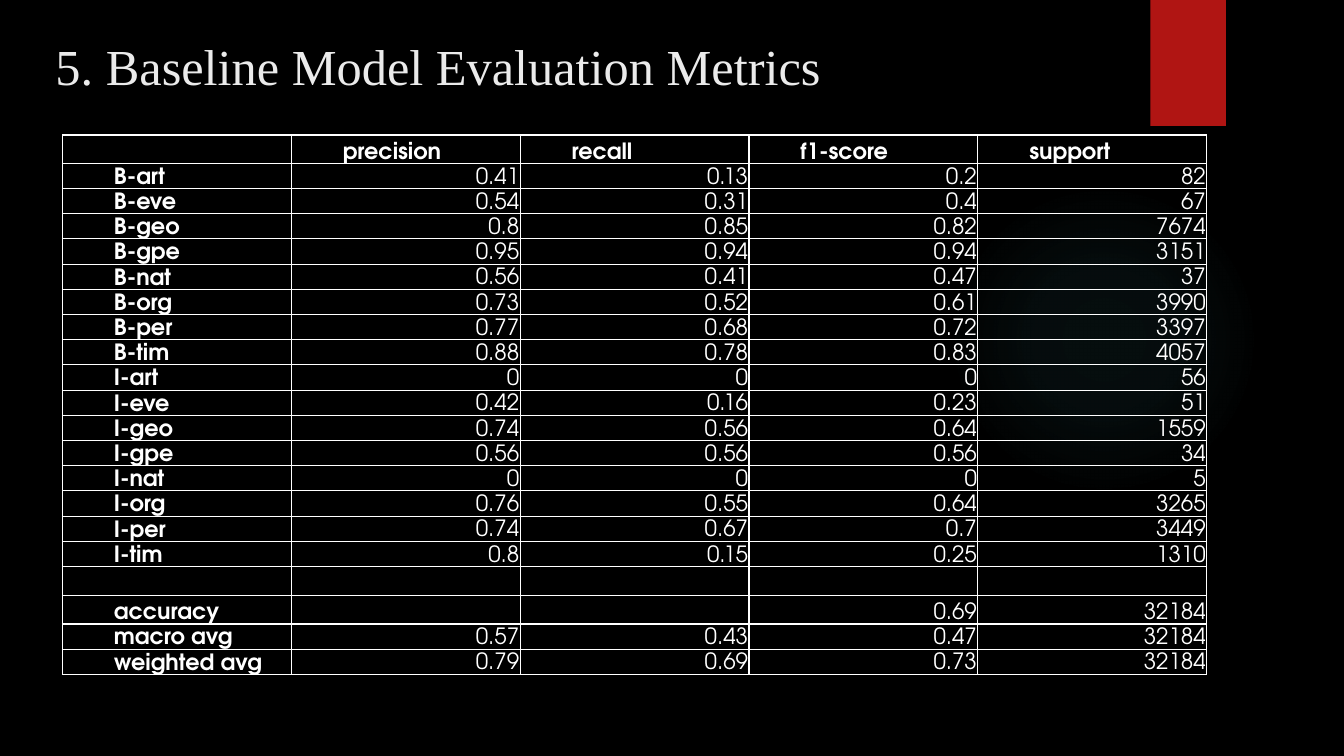
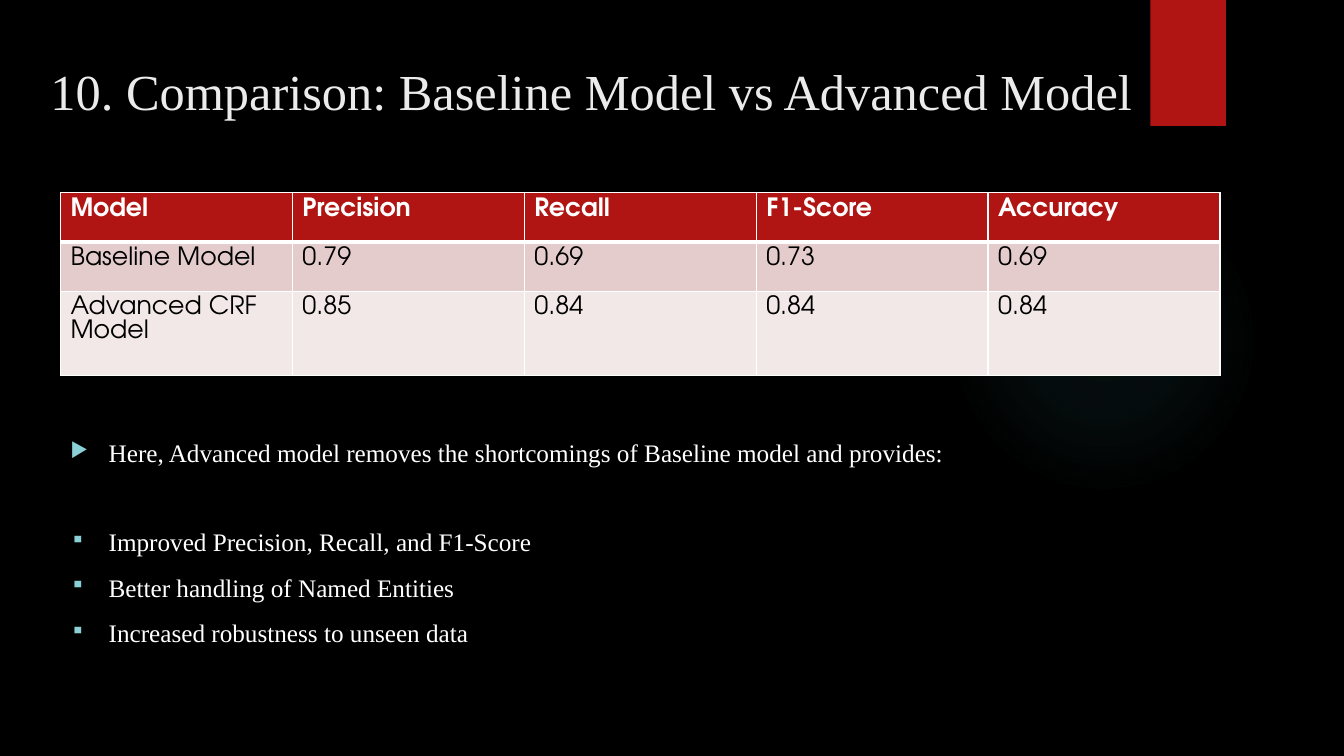
import lxml.etree
import pptx
import pptx.dml.color
import pptx.enum.shapes
import pptx.enum.text
import pptx.oxml.ns
import pptx.util

PX = 9144  # EMU in one px, 100 px to the inch
HUES = {
    "black": "000000", "white": "FFFFFF", "title": "EBEBEB", "red": "B01513",
    "glow": "50B9C1", "mark": "8AD0D6", "rose": "E4CCCC", "pale": "F2E8E7",
}
SANS, SERIF = "TeX Gyre Adventor", "Times New Roman"
ALIGN = pptx.enum.text.PP_ALIGN
ANCHOR = pptx.enum.text.MSO_ANCHOR
SHAPE = pptx.enum.shapes.MSO_SHAPE

SCORES = [
    ("", "precision", "recall", "f1-score", "support"),
    ("B-art", "0.41", "0.13", "0.2", "82"),
    ("B-eve", "0.54", "0.31", "0.4", "67"),
    ("B-geo", "0.8", "0.85", "0.82", "7674"),
    ("B-gpe", "0.95", "0.94", "0.94", "3151"),
    ("B-nat", "0.56", "0.41", "0.47", "37"),
    ("B-org", "0.73", "0.52", "0.61", "3990"),
    ("B-per", "0.77", "0.68", "0.72", "3397"),
    ("B-tim", "0.88", "0.78", "0.83", "4057"),
    ("I-art", "0", "0", "0", "56"),
    ("I-eve", "0.42", "0.16", "0.23", "51"),
    ("I-geo", "0.74", "0.56", "0.64", "1559"),
    ("I-gpe", "0.56", "0.56", "0.56", "34"),
    ("I-nat", "0", "0", "0", "5"),
    ("I-org", "0.76", "0.55", "0.64", "3265"),
    ("I-per", "0.74", "0.67", "0.7", "3449"),
    ("I-tim", "0.8", "0.15", "0.25", "1310"),
    ("", "", "", "", ""),
    ("accuracy", "", "", "0.69", "32184"),
    ("macro avg", "0.57", "0.43", "0.47", "32184"),
    ("weighted avg", "0.79", "0.69", "0.73", "32184"),
]
MODELS = [
    ("Model", "Precision", "Recall", "F1-Score", "Accuracy"),
    ("Baseline Model", "0.79", "0.69", "0.73", "0.69"),
    ("Advanced CRF Model", "0.85", "0.84", "0.84", "0.84"),
]
# mark, space before in points, text
GAINS = [
    ("▶", 0, "Here, Advanced model removes the shortcomings of Baseline model and provides:"),
    ("▪", 42, "Improved Precision, Recall, and F1-Score"),
    ("▪", 11, "Better handling of Named Entities"),
    ("▪", 11, "Increased robustness to unseen data"),
]


def rgb(hue):
    return pptx.dml.color.RGBColor.from_string(HUES[hue])


def apply(item, style):
    for name, value in style.items():
        setattr(item, name, value)


def node(parent, tag, **attrs):
    """Append a DrawingML child and return it."""
    child = lxml.etree.SubElement(parent, pptx.oxml.ns.qn("a:" + tag))
    for name, value in attrs.items():
        child.set(name, str(value))
    return child


class Deck:
    def __init__(self):
        self.prs = pptx.Presentation()
        apply(self.prs, {"slide_width": 1333 * PX, "slide_height": 750 * PX})
        fill = self.prs.slide_master.background.fill
        fill.solid()
        fill.fore_color.rgb = rgb("black")
        self.slide = None

    def begin(self, title, *box):
        """Start a slide with its glow, red tab and title."""
        self.slide = self.prs.slides.add_slide(self.prs.slide_layouts[5])
        self.glow(941, 183, 308, 308)
        tab = self.shape(SHAPE.RECTANGLE, 1141, 0, 75, 125)
        tab.fill.solid()
        tab.fill.fore_color.rgb = rgb("red")
        head = self.slide.shapes.title
        sides = ("left", "top", "width", "height")
        apply(head, dict(zip(sides, (n * PX for n in box))))
        apply(head.text_frame, {
            "word_wrap": True, "vertical_anchor": ANCHOR.TOP, "margin_top": 10 * PX,
            "auto_size": pptx.enum.text.MSO_AUTO_SIZE.NONE})
        self.label(head.text_frame.paragraphs[0], title, SERIF, 36, "title")

    def shape(self, kind, *box):
        item = self.slide.shapes.add_shape(kind, *(n * PX for n in box))
        item.shadow.inherit = False
        item.line.fill.background()
        return item

    def glow(self, *box):
        """Add a round light that fades out from its centre."""
        disc = self.shape(SHAPE.OVAL, *box)
        grad = lxml.etree.Element(pptx.oxml.ns.qn("a:gradFill"))
        stops = node(grad, "gsLst")
        for pos, alpha in ((0, 7), (36, 6), (69, 0)):
            stop = node(stops, "gs", pos=pos * 1000)
            color = node(stop, "srgbClr", val=HUES["glow"])
            node(color, "alpha", val=alpha * 1000)
        rays = node(grad, "path", path="circle")
        node(rays, "fillToRect", l=50000, t=50000, r=50000, b=50000)
        disc.element.spPr.find(pptx.oxml.ns.qn("a:prstGeom")).addnext(grad)

    def label(self, para, text, face, size, hue, bold=False, align=ALIGN.LEFT):
        """Fill a paragraph; an empty one only takes the font, which sets its height."""
        para.alignment = align
        if not text:
            end = node(para._p, "endParaRPr", sz=size * 100)
            node(end, "latin", typeface=face)
            return
        run = para.add_run()
        run.text = text
        apply(run.font, {"name": face, "size": pptx.util.Pt(size), "bold": bold})
        run.font.color.rgb = rgb(hue)

    def table(self, rows, left, top, wide, highs, style):
        """Draw rows; style(row, column) gives font, fill, cell format, indent and rule."""
        count = len(rows[0])
        frame = self.slide.shapes.add_table(
            len(rows), count, left * PX, top * PX, wide * count * PX, sum(highs) * PX)
        grid = frame.table
        apply(grid, {"first_row": False, "horz_banding": False})
        for col in grid.columns:
            col.width = wide * PX
        for r, (texts, high) in enumerate(zip(rows, highs)):
            grid.rows[r].height = high * PX
            for c, text in enumerate(texts):
                font, fill, form, dent, rule = style(r, c)
                cell = grid.cell(r, c)
                self.edge(cell, rule)
                if fill:
                    cell.fill.solid()
                    cell.fill.fore_color.rgb = rgb(fill)
                else:
                    cell.fill.background()
                apply(cell, form)
                para = cell.text_frame.paragraphs[0]
                self.label(para, text, SANS, **font)
                if dent:
                    para._p.get_or_add_pPr().set("marL", str(dent * PX))

    def edge(self, cell, rule):
        """Rule all four sides in white; rule gives the top and bottom width in points."""
        props = cell._tc.get_or_add_tcPr()
        for side, width in zip("LRTB", (1, 1, *rule)):
            line = node(props, "ln" + side, w=width * 12700)
            node(node(line, "solidFill"), "srgbClr", val=HUES["white"])

    def points(self, items, *box):
        """Add a bulleted list of (mark, space before, text)."""
        frame = self.slide.shapes.add_textbox(*(n * PX for n in box)).text_frame
        frame.word_wrap = True
        for i, (mark, gap, text) in enumerate(items):
            para = frame.add_paragraph() if i else frame.paragraphs[0]
            self.label(para, text, SERIF, 18, "white", align=ALIGN.JUSTIFY)
            para.space_before = pptx.util.Pt(gap)
            props = para._p.get_or_add_pPr()
            props.set("marL", str(38 * PX))
            props.set("indent", str(-38 * PX))
            node(node(props, "buClr"), "srgbClr", val=HUES["mark"])
            node(props, "buSzPct", val=80000)
            node(props, "buChar", char=mark)


def score_style(row, col):
    head = row == 0 or col == 0
    align = ALIGN.RIGHT
    if head:
        align = ALIGN.LEFT if row else ALIGN.JUSTIFY
    font = {"size": 16, "hue": "white", "bold": head, "align": align}
    form = {"vertical_anchor": ANCHOR.BOTTOM, "margin_left": PX, "margin_right": PX,
            "margin_top": PX, "margin_bottom": 0}
    return font, None, form, 50 if head else 0, (1, 1)


def model_style(row, col):
    font = {"size": 18, "hue": "black" if row else "white", "bold": row == 0}
    rule = ((1, 3), (3, 1), (1, 1))[row]
    return font, ("red", "rose", "pale")[row], {"vertical_anchor": ANCHOR.TOP}, 0, rule


def main():
    deck = Deck()
    deck.begin("5. Baseline Model Evaluation Metrics", 45, 25, 1093, 94)
    highs = [28] + [25] * 16 + [29, 28, 25, 25]
    deck.table(SCORES, 62, 134, 227, highs, score_style)

    deck.begin("10. Comparison: Baseline Model vs Advanced Model", 40, 50, 1114, 153)
    deck.table(MODELS, 60, 191, 230, [49, 49, 84], model_style)
    deck.points(GAINS, 60, 429, 1190, 246)
    deck.prs.save("out.pptx")


if __name__ == "__main__":
    main()
